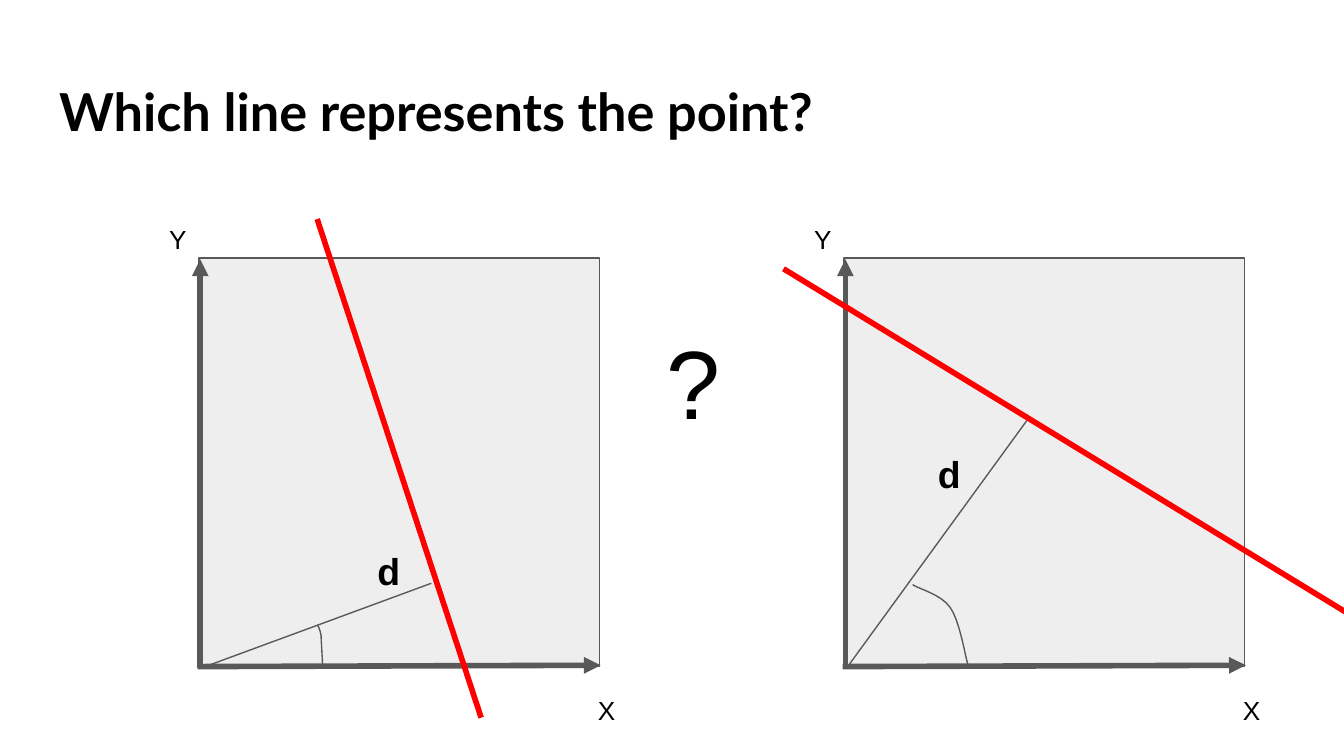
from dataclasses import dataclass

from lxml import etree
from pptx import Presentation
from pptx.dml.color import RGBColor
from pptx.enum import shapes, text
from pptx.oxml.ns import qn
from pptx.util import Inches, Pt

Point = tuple[float, float]


@dataclass(frozen=True)
class Theme:
    black: str = "000000"
    gray: str = "595959"
    pale: str = "EEEEEE"
    red: str = "FF0000"
    heading_font: str = "Lato"
    body_font: str = "Arial"
    title_size: int = 28
    axis_size: int = 14
    distance_size: int = 20
    question_size: int = 52
    thin: float = 0.75
    thick: float = 3


@dataclass(frozen=True)
class Panel:
    left: float
    candidate: tuple[Point, Point]
    foot: Point
    distance_label: Point
    arc: tuple[Point, ...]


THEME = Theme()
PLOT_TOP, PLOT_WIDTH, PLOT_HEIGHT = 1.92, 2.98, 3.04
CURVE_STEPS = 8
PANELS = (
    Panel(
        left=6.28,
        candidate=((5.83, 2), (10.17, 4.65)),
        foot=(7.64, 3.13),
        distance_label=(6.88, 3.26),
        arc=((6.79, 4.35), (6.83, 4.38), (7, 4.42), (7.07, 4.52),
             (7.14, 4.62), (7.18, 4.87), (7.2, 4.94)),
    ),
    Panel(
        left=1.48,
        candidate=((2.36, 1.63), (3.58, 5.34)),
        foot=(3.21, 4.34),
        distance_label=(2.71, 3.98),
        arc=((2.36, 4.65), (2.37, 4.66), (2.38, 4.68), (2.39, 4.73),
             (2.39, 4.78), (2.4, 4.9), (2.4, 4.94)),
    ),
)


def write_text(shape, content: str, *, size: float, font: str = THEME.body_font,
               color: str = THEME.black, bold: bool = False) -> None:
    frame = shape.text_frame
    frame.word_wrap = True
    frame.auto_size = text.MSO_AUTO_SIZE.NONE
    frame.vertical_anchor = text.MSO_ANCHOR.TOP
    frame.margin_left = frame.margin_right = Inches(0.1)
    frame.margin_top = frame.margin_bottom = Inches(0.1)
    paragraph = frame.paragraphs[0]
    paragraph.alignment = text.PP_ALIGN.LEFT
    run = paragraph.add_run()
    run.text = content
    run.font.name = font
    run.font.size = Pt(size)
    run.font.bold = bold
    run.font.color.rgb = RGBColor.from_string(color)


def add_label(parent, content: str, position: Point, extent: Point, *,
              size: float, bold: bool = False) -> None:
    box = parent.add_textbox(*map(Inches, position + extent))
    write_text(box, content, size=size, bold=bold)


def format_line(shape, color: str, width: float) -> None:
    shape.line.color.rgb = RGBColor.from_string(color)
    shape.line.width = Pt(width)


def add_line(parent, start: Point, end: Point, *, color: str = THEME.gray,
             width: float = THEME.thin, arrow: bool = False) -> None:
    connector = parent.add_connector(
        shapes.MSO_CONNECTOR.STRAIGHT, *map(Inches, start + end))
    format_line(connector, color, width)
    properties = connector._element.spPr
    if arrow:
        etree.SubElement(properties.find(qn("a:ln")), qn("a:tailEnd"), type="triangle")
    etree.SubElement(properties, qn("a:effectLst"))


def bezier_point(controls: tuple[Point, ...], t: float) -> Point:
    weights = ((1 - t) ** 3, 3 * t * (1 - t) ** 2, 3 * t ** 2 * (1 - t), t ** 3)
    x, y = (sum(w * c for w, c in zip(weights, axis)) for axis in zip(*controls))
    return x, y


def add_arc(parent, controls: tuple[Point, ...]) -> None:
    points = [
        tuple(map(Inches, bezier_point(controls[first:first + 4], step / CURVE_STEPS)))
        for first in range(0, len(controls) - 1, 3)
        for step in range(1, CURVE_STEPS + 1)
    ]
    builder = parent.build_freeform(*map(Inches, controls[0]))
    builder.add_line_segments(points, close=False)
    arc = builder.convert_to_shape()
    arc.shadow.inherit = False
    arc.fill.background()
    format_line(arc, THEME.gray, THEME.thin)


def add_panel(slide, panel: Panel) -> None:
    parent = slide.shapes.add_group_shape().shapes
    left = panel.left
    plot = parent.add_shape(
        shapes.MSO_SHAPE.RECTANGLE,
        *map(Inches, (left, PLOT_TOP, PLOT_WIDTH, PLOT_HEIGHT)))
    plot.shadow.inherit = False
    plot.fill.solid()
    plot.fill.fore_color.rgb = RGBColor.from_string(THEME.pale)
    format_line(plot, THEME.gray, THEME.thin)

    axis = dict(width=THEME.thick, arrow=True)
    add_line(parent, (left + 0.01, 4.97), (left + 0.01, 1.93), **axis)
    add_line(parent, (left - 0.01, 4.96), (left + 2.99, 4.95), **axis)
    for name, position in (("Y", (left - 0.32, 1.56)), ("X", (left + 2.87, 5.07))):
        add_label(parent, name, position, (0.21, 0.36), size=THEME.axis_size)

    add_line(parent, (left + 0.02, 4.97), panel.foot)
    add_arc(parent, panel.arc)
    add_label(parent, "d", panel.distance_label, (0.32, 0.41),
              size=THEME.distance_size, bold=True)
    add_line(parent, *panel.candidate, color=THEME.red, width=THEME.thick)


def main() -> None:
    presentation = Presentation()
    presentation.slide_width = Inches(10)
    presentation.slide_height = presentation.slide_width * 9 // 16
    slide = presentation.slides.add_slide(presentation.slide_layouts[5])
    title = slide.shapes.title
    title.left, title.top, title.width, title.height = map(
        Inches, (0.34, 0.49, 9.32, 0.63))
    write_text(title, "Which line represents the point?", size=THEME.title_size,
               font=THEME.heading_font, bold=True)
    for panel in PANELS:
        add_panel(slide, panel)
    add_label(slide.shapes, "?", (4.86, 2.3), (0.76, 1.29), size=THEME.question_size)
    presentation.save("out.pptx")


if __name__ == "__main__":
    main()
